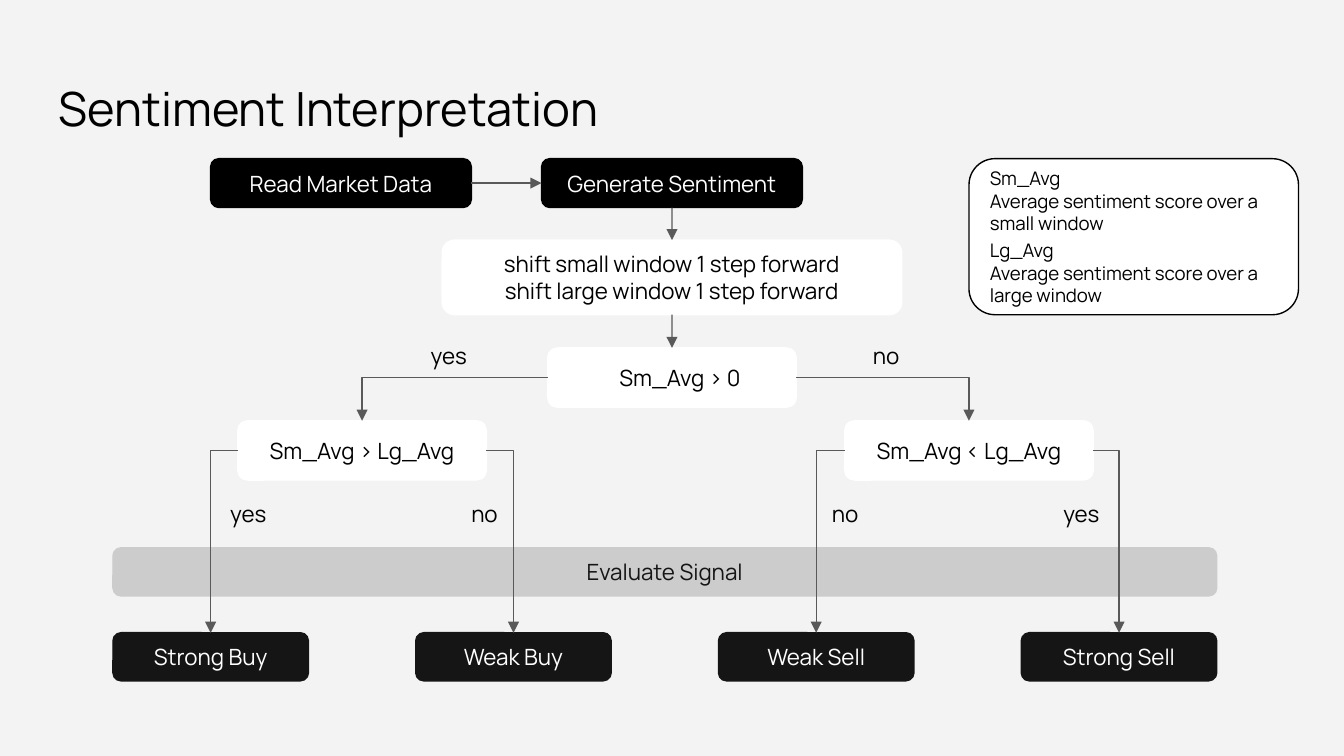
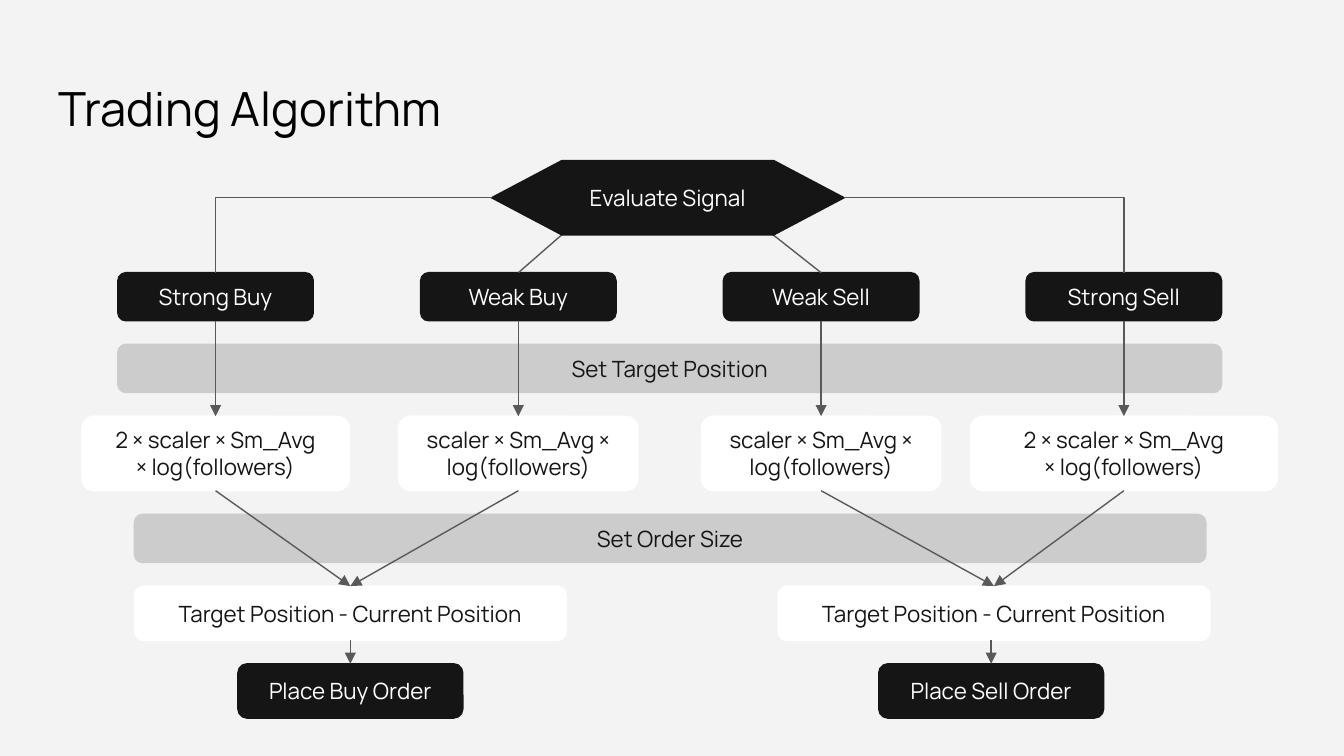
import copy
from dataclasses import dataclass

import pptx
import pptx.dml.color
import pptx.enum.shapes
import pptx.enum.text
import pptx.oxml.ns
import pptx.oxml.xmlchemy
import pptx.shapes.autoshape
import pptx.shapes.connector
import pptx.slide
import pptx.util

Pt = pptx.util.Pt
qn = pptx.oxml.ns.qn
SHAPE = pptx.enum.shapes.MSO_SHAPE
CONNECTOR = pptx.enum.shapes.MSO_CONNECTOR
ALIGN = pptx.enum.text.PP_ALIGN
ANCHOR = pptx.enum.text.MSO_ANCHOR
Shape = pptx.shapes.autoshape.Shape

# Shared look
COLORS = {
    "back": "F3F3F3",
    "black": "000000",
    "ink": "151515",
    "white": "FFFFFF",
    "band": "CCCCCC",
    "line": "595959",
}
FONT = "Manrope"
INSET = 7.2
FRAME = {
    "word_wrap": True,
    "margin_left": Pt(INSET),
    "margin_right": Pt(INSET),
    "margin_top": Pt(INSET),
    "margin_bottom": Pt(INSET),
}
TOP, LEFT, BOTTOM, RIGHT = range(4)

# Measures that both slides use
SIGNALS = ["Strong Buy", "Weak Buy", "Weak Sell", "Strong Sell"]
SIGNAL_STEP, SIGNAL_W, BAR_H = 162.2, 104.7, 25.8
BAND_W = 3 * SIGNAL_STEP + SIGNAL_W
TALL_H = 39.9


@dataclass
class Style:
    fill: str
    text: str
    line: str = ""
    size: float = 12
    align: ALIGN = ALIGN.CENTER
    shape: SHAPE = SHAPE.FLOWCHART_ALTERNATE_PROCESS


@dataclass
class Box:
    """A box by its horizontal centre, top, width and height."""
    text: str
    cx: float
    y: float
    w: float
    h: float
    style: Style


BLACK = Style("black", "white")
DARK = Style("ink", "white")
BAND = Style("band", "ink")
FORMULA = Style("white", "ink")
STEP = Style("white", "black")
TEST = Style("white", "black", shape=SHAPE.ROUNDED_RECTANGLE)
LEGEND = Style("white", "black", line="black", size=10, align=ALIGN.LEFT,
               shape=SHAPE.ROUNDED_RECTANGLE)
HEXAGON = Style("ink", "white", shape=SHAPE.FLOWCHART_PREPARATION)


def rgb(name: str) -> pptx.dml.color.RGBColor:
    return pptx.dml.color.RGBColor.from_string(COLORS[name])


def write(sp: Shape, text: str, size: float, color: str, align: ALIGN,
          anchor: ANCHOR) -> None:
    """Fill a frame: newline starts a paragraph, vertical tab breaks a line."""
    tf = sp.text_frame
    for key, value in {**FRAME, "vertical_anchor": anchor}.items():
        setattr(tf, key, value)
    tf.text = text
    for p in tf.paragraphs:
        p.alignment = align
        for r in p.runs:
            for key, value in {"name": FONT, "size": Pt(size)}.items():
                setattr(r.font, key, value)
            r.font.color.rgb = rgb(color)
        for br in p._p.findall(qn("a:br")):
            br.append(copy.deepcopy(p.runs[0].font._element))


def add_text(s: pptx.slide.Slide, text: str, x: float, y: float, w: float,
             h: float, size: float = 12, align: ALIGN = ALIGN.CENTER) -> None:
    sp = s.shapes.add_textbox(Pt(x), Pt(y), Pt(w), Pt(h))
    write(sp, text, size, "black", align, ANCHOR.TOP)


def add_box(s: pptx.slide.Slide, box: Box) -> Shape:
    st = box.style
    sp = s.shapes.add_shape(st.shape, Pt(box.cx - box.w / 2), Pt(box.y),
                            Pt(box.w), Pt(box.h))
    sp.shadow.inherit = False
    sp.fill.solid()
    sp.fill.fore_color.rgb = rgb(st.fill)
    sp.line.color.rgb = rgb(st.line or st.fill)
    sp.line.width = Pt(0.75)
    write(sp, box.text, st.size, st.text, st.align, ANCHOR.MIDDLE)
    return sp


def add_line(s: pptx.slide.Slide, kind: CONNECTOR, x1: float, y1: float,
             x2: float, y2: float,
             arrow: bool = True) -> pptx.shapes.connector.Connector:
    c = s.shapes.add_connector(kind, Pt(x1), Pt(y1), Pt(x2), Pt(y2))
    c.line.color.rgb = rgb("line")
    c.line.width = Pt(0.75)
    if arrow:
        ln = c.line._get_or_add_ln()
        ln.append(ln.makeelement(qn("a:tailEnd"), {"type": "triangle"}))
    sp_pr = c._element.spPr
    sp_pr.append(sp_pr.makeelement(qn("a:effectLst"), {}))
    return c


def join(s: pptx.slide.Slide, a: Shape, b: Shape,
         start: int = BOTTOM, end: int = TOP) -> None:
    """Straight arrow between the middles of two sides."""
    c = add_line(s, CONNECTOR.STRAIGHT, 0, 0, 0, 0)
    c.begin_connect(a, start)
    c.end_connect(b, end)


def drop_in(s: pptx.slide.Slide, x: float, y: float, target: Shape,
            arrow: bool) -> None:
    """Straight line from a free point to the top of a box."""
    c = add_line(s, CONNECTOR.STRAIGHT, x, y, x, y, arrow)
    c.end_connect(target, TOP)


def elbow(s: pptx.slide.Slide, a: Shape, side: int, b: Shape,
          arrow: bool = True) -> None:
    """Leave the side of a box level, then turn down to the top of another."""
    x1 = a.left + (a.width if side == RIGHT else 0)
    x2 = b.left + b.width / 2
    y1 = a.top + a.height / 2
    c = add_line(s, CONNECTOR.ELBOW, x1 / Pt(1), y1 / Pt(1),
                 x2 / Pt(1), b.top / Pt(1), arrow)
    c._element.spPr.find(qn("a:prstGeom")).set("prst", "bentConnector2")


def add_signals(s: pptx.slide.Slide, cx: float, y: float) -> list[Shape]:
    return [add_box(s, Box(name, cx + i * SIGNAL_STEP, y, SIGNAL_W, BAR_H, DARK))
            for i, name in enumerate(SIGNALS)]


def new_slide(prs, title: str) -> pptx.slide.Slide:
    s = prs.slides.add_slide(prs.slide_layouts[6])
    s.background.fill.solid()
    s.background.fill.fore_color.rgb = rgb("back")
    add_text(s, title, 24.5, 35.3, 671, 45.4, 25.2, ALIGN.LEFT)
    return s


def sentiment_slide(prs) -> None:
    s = new_slide(prs, "Sentiment Interpretation")
    mid, first = 360, 112.9
    buy_x, sell_x = 194, 519.1

    # Boxes
    read = add_box(s, Box("Read Market Data", 182.7, 85, 139.7, 26.2, BLACK))
    generate = add_box(s, Box("Generate Sentiment", mid, 85, 139.7, 26.2, BLACK))
    shift = add_box(s, Box(
        "shift small window 1 step forward\vshift large window 1 step forward",
        mid, 128.7, 246.2, TALL_H, STEP))
    root = add_box(s, Box("Sm_Avg > 0", mid, 186.4, 133.2, 31.8, TEST))
    root.text_frame.margin_left = Pt(INSET + 8.6)
    buy, sell = [add_box(s, Box(text, cx, 225.4, 133.2, 31.8, TEST))
                 for text, cx in (("Sm_Avg > Lg_Avg", buy_x),
                                  ("Sm_Avg < Lg_Avg", sell_x))]
    add_box(s, Box("Evaluate Signal", first + 1.5 * SIGNAL_STEP, 293.5,
                   BAND_W, BAR_H, BAND))
    signals = add_signals(s, first, 339)

    # Legend
    legend = add_box(s, Box(
        "Sm_Avg\nAverage sentiment score over a small window\n"
        "Lg_Avg\nAverage sentiment score over a large window",
        607.35, 85, 176.5, 83.6, LEGEND))
    legend.text_frame.paragraphs[2].space_before = Pt(2.4)

    # Arrows
    join(s, read, generate, RIGHT, LEFT)
    join(s, generate, shift)
    join(s, shift, root)
    elbow(s, root, LEFT, buy)
    elbow(s, root, RIGHT, sell)
    for i, signal in enumerate(signals):
        elbow(s, (buy, sell)[i // 2], (LEFT, RIGHT)[i % 2], signal)

    # Answers, each on the inner side of its arrow
    widths = {"yes": 40.3, "no": 31}
    for text, x in (("yes", 220.3), ("no", 459.2)):
        add_text(s, text, x, 175.9, widths[text], 28.8)
    for i, text in enumerate(["yes", "no", "no", "yes"]):
        x = first + i * SIGNAL_STEP - (widths[text] if i % 2 else 0)
        add_text(s, text, x, 260.8, widths[text], 28.8)


def trading_slide(prs) -> None:
    s = new_slide(prs, "Trading Algorithm")
    first = 115.5

    # Bands
    add_box(s, Box("Set Order Size", 359, 275.6, 574, BAR_H, BAND))
    add_box(s, Box("Set Target Position", first + 1.5 * SIGNAL_STEP, 184.5,
                   BAND_W, BAR_H, BAND))

    # Signals
    signals = add_signals(s, first, 146.1)
    drop_in(s, 308.2, 119.5, signals[1], False)
    drop_in(s, 409, 121.7, signals[2], False)
    evaluate = add_box(s, Box("Evaluate Signal", 357.8, 86, 188.9, TALL_H, HEXAGON))
    elbow(s, evaluate, LEFT, signals[0], False)
    elbow(s, evaluate, RIGHT, signals[3], False)

    # Target positions
    strong = "2 × scaler × Sm_Avg\n× log(followers)"
    weak = "scaler × Sm_Avg × log(followers)"
    formulas = [
        add_box(s, Box(text, first + i * SIGNAL_STEP, 223, w, TALL_H, FORMULA))
        for i, (text, w) in enumerate([(strong, 143.3), (weak, 128.2),
                                       (weak, 128.2), (strong, 164.2)])]
    for signal, formula in zip(signals, formulas):
        join(s, signal, formula)

    # Order sizes and orders
    for i, (name, size_x, order_x) in enumerate([("Buy", 187.7, 187.7),
                                                 ("Sell", 532.5, 531)]):
        size = add_box(s, Box("Target Position - Current Position", size_x,
                              314, 231.3, 29.1, FORMULA))
        order = add_box(s, Box(f"Place {name} Order", order_x, 355.6, 120.5,
                               29.1, DARK))
        for formula in formulas[2 * i:2 * i + 2]:
            join(s, formula, size)
        if size_x == order_x:
            join(s, size, order)
        else:
            drop_in(s, order_x, 343.1, order, True)


def main() -> None:
    prs = pptx.Presentation()
    prs.slide_width, prs.slide_height = Pt(720), Pt(405)
    sentiment_slide(prs)
    trading_slide(prs)
    prs.save("out.pptx")


if __name__ == "__main__":
    main()
